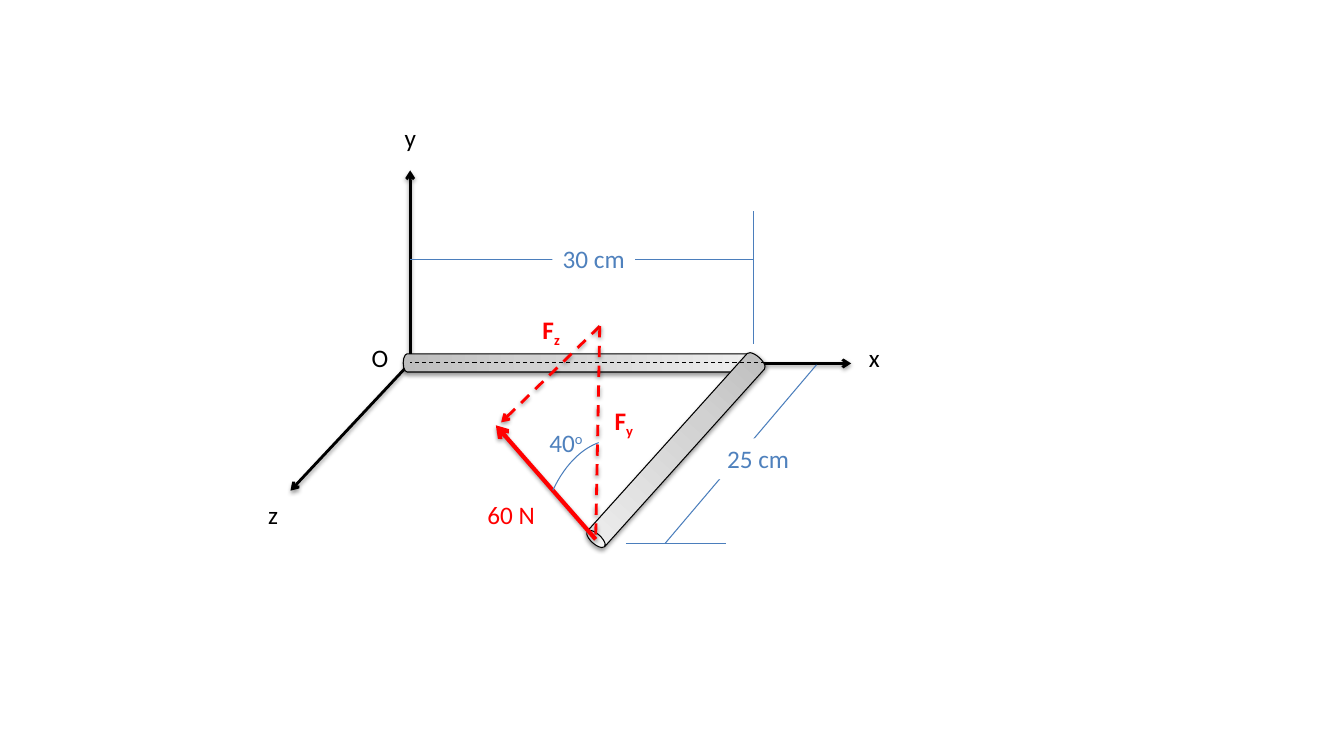
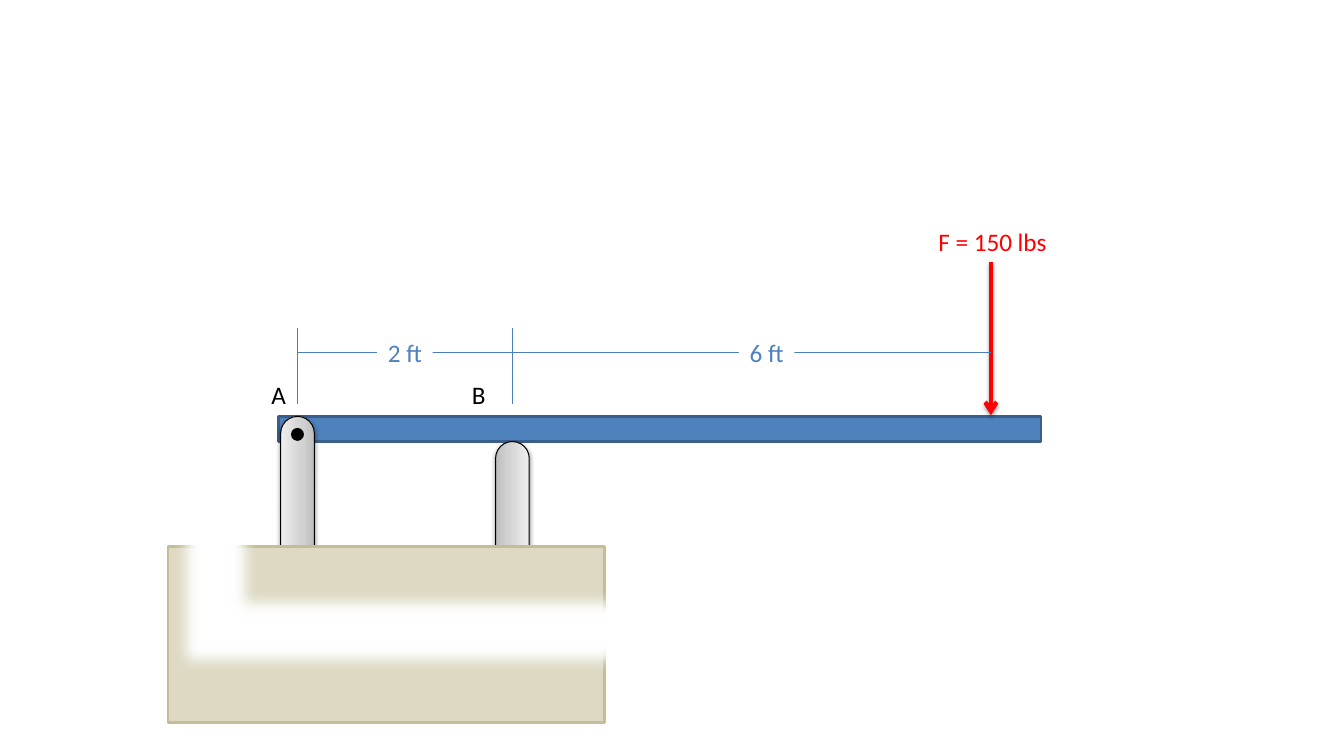
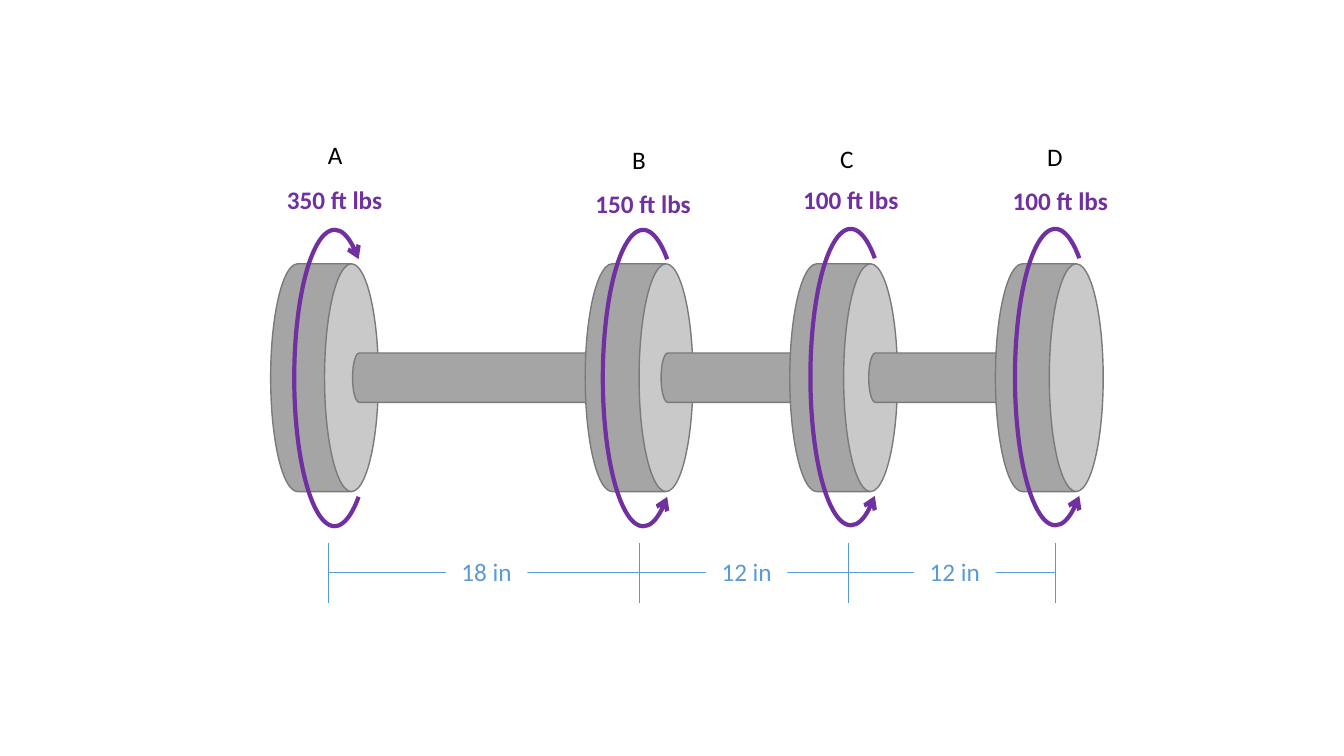
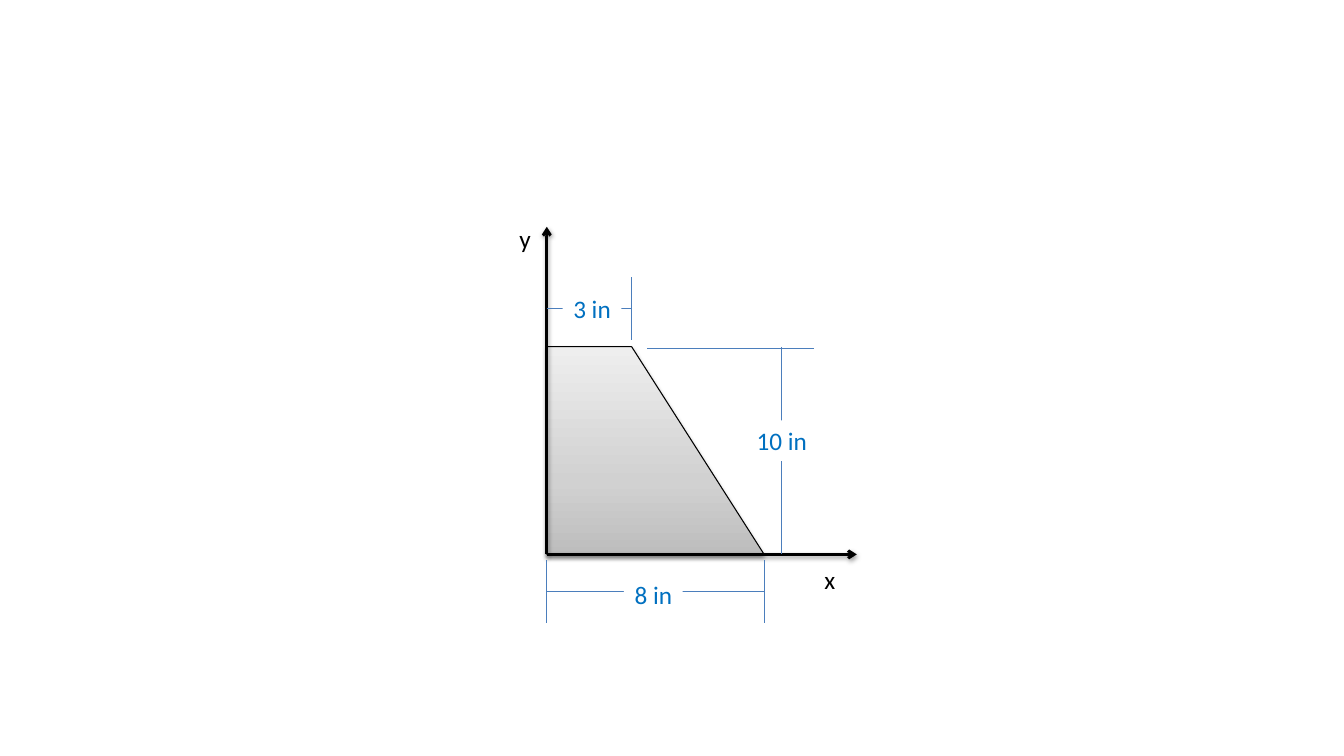
from dataclasses import dataclass
from itertools import pairwise
from lxml.etree import SubElement
from math import atan2, degrees, hypot
from pptx import Presentation
from pptx.dml.color import RGBColor
from pptx.enum.dml import MSO_LINE_DASH_STYLE as Dash
from pptx.enum.shapes import MSO_CONNECTOR as Connector, MSO_SHAPE as Preset
from pptx.enum.text import MSO_AUTO_SIZE as AutoSize, PP_ALIGN as Align
from pptx.oxml.ns import qn
from pptx.util import Pt


@dataclass(frozen=True)
class Theme:
    font: str = "Calibri"
    size: float = 18
    label_height: float = 29
    black: str = "000000"
    white: str = "FFFFFF"
    force: str = "FF0000"
    dimension: str = "4F81BD"
    dimension_line: str = "4B7EBC"
    shaft_dimension: str = "5B9BD5"
    section_dimension: str = "0070C0"
    beam_edge: str = "3A5F8C"
    ground: str = "DDD9C3"
    ground_edge: str = "C4BD97"
    steel: str = "A5A5A5"
    steel_edge: str = "7A7A7A"
    torque: str = "7030A0"
    metal: tuple = ((0, "BDBDBD"), (35, "D1D1D1"), (100, "EEEEEE"))
    hairline: float = 0.5
    thin: float = 0.75
    fine: float = 1
    medium: float = 2
    thick: float = 3


THEME = Theme()


@dataclass(frozen=True)
class Box:
    left: float
    top: float


@dataclass(frozen=True)
class Station:
    """One disc of the shaft, with its torque and its letter."""
    name: str
    torque: str
    disc_x: float
    arc_x: float
    arc_top: float
    tick_x: float
    name_center: tuple
    torque_center: tuple


def rgb(value):
    return RGBColor.from_string(value)


def middle(start, end):
    return (start[0] + end[0]) / 2, (start[1] + end[1]) / 2


def set_effect(shape, shadow=False, soft_edge=0):
    """Close the shape properties with an effect list, empty by default."""
    effects = SubElement(shape._element.spPr, qn("a:effectLst"))
    if shadow:
        outer = SubElement(effects, qn("a:outerShdw"), blurRad=str(Pt(3.1)),
                           dist=str(Pt(1.6)), dir="5400000", rotWithShape="0")
        color = SubElement(outer, qn("a:srgbClr"), val=THEME.black)
        SubElement(color, qn("a:alpha"), val="38000")
    if soft_edge:
        SubElement(effects, qn("a:softEdge"), rad=str(Pt(soft_edge)))


def set_line(shape, color, width, dashed=False, arrow=False):
    shape.line.color.rgb = rgb(color)
    shape.line.width = Pt(width)
    if dashed:
        shape.line.dash_style = Dash.DASH
    if arrow:
        outline = shape._element.spPr.find(qn("a:ln"))
        SubElement(outline, qn("a:tailEnd"), type="arrow")


def set_solid(shape, color):
    shape.fill.solid()
    shape.fill.fore_color.rgb = rgb(color)


def set_metal(shape):
    """Grey gradient, dark at the foot of the shape, with a black outline."""
    shape.fill.gradient()
    shape.fill.gradient_angle = 90
    stops = shape._element.spPr.find(qn("a:gradFill")).find(qn("a:gsLst"))
    for stop in list(stops):
        stops.remove(stop)
    for position, color in THEME.metal:
        stop = SubElement(stops, qn("a:gs"), pos=str(position * 1000))
        SubElement(stop, qn("a:srgbClr"), val=color)
    set_line(shape, THEME.black, THEME.thin)
    set_effect(shape, shadow=True)


class Diagram:
    """Draws on a page in points, measured from the corner of a box."""

    def __init__(self, page, box):
        self.shapes = page.shapes
        self.box = box

    def place(self, x, y):
        return Pt(self.box.left + x), Pt(self.box.top + y)

    # Lines
    def line(self, start, end, color=THEME.dimension_line, width=THEME.thin,
             dashed=False, arrow=False, shadow=False):
        link = self.shapes.add_connector(
            Connector.STRAIGHT, *self.place(*start), *self.place(*end))
        set_line(link, color, width, dashed, arrow)
        set_effect(link, shadow)

    def axis(self, start, end):
        self.line(start, end, THEME.black, THEME.medium, arrow=True, shadow=True)

    def force(self, start, end, width=THEME.thick, dashed=False, arrow=True):
        self.line(start, end, THEME.force, width, dashed, arrow, shadow=True)

    def dimension(self, start, end, text, width, shift=(0, 0),
                  color=THEME.dimension, line_color=THEME.dimension_line,
                  line_width=THEME.thin):
        """Line with its length on white, at the middle plus a shift."""
        self.line(start, end, line_color, line_width)
        x, y = middle(start, end)
        self.label(text, (x + shift[0], y + shift[1]), width, color,
                   fill=THEME.white)

    # Shapes, each placed by its centre
    def preset(self, kind, center, width, height, adjust=()):
        x, y = center
        shape = self.shapes.add_shape(
            kind, *self.place(x - width / 2, y - height / 2),
            Pt(width), Pt(height))
        for index, value in enumerate(adjust):
            shape.adjustments[index] = value
        return shape

    def solid(self, kind, center, width, height, fill, edge,
              edge_width=THEME.medium, adjust=(), soft_edge=0):
        shape = self.preset(kind, center, width, height, adjust)
        set_solid(shape, fill)
        set_line(shape, edge, edge_width)
        set_effect(shape, soft_edge=soft_edge)
        return shape

    def rod(self, start, end, thickness):
        """Round metal rod whose open face lies at the end point."""
        run, rise = end[0] - start[0], start[1] - end[1]
        can = self.preset(Preset.CAN, middle(start, end), thickness,
                          hypot(run, rise), [0.43])
        can.rotation = degrees(atan2(run, rise)) % 360
        set_metal(can)

    def arc(self, center, width, height, angles, color, line_width,
            arrow=False, flip=False):
        curve = self.preset(Preset.ARC, center, width, height, angles)
        curve.fill.background()
        set_line(curve, color, line_width, arrow=arrow)
        set_effect(curve)
        if flip:
            curve._element.spPr.find(qn("a:xfrm")).set("flipV", "1")

    # Text
    def label(self, text, center, width, color=THEME.black, bold=False,
              script="", baseline=0, fill=None):
        x, y = center
        height = THEME.label_height
        box = self.shapes.add_textbox(
            *self.place(x - width / 2, y - height / 2), Pt(width), Pt(height))
        if fill:
            set_solid(box, fill)
        frame = box.text_frame
        frame.word_wrap = False
        frame.auto_size = AutoSize.SHAPE_TO_FIT_TEXT
        para = frame.paragraphs[0]
        para.alignment = Align.CENTER
        parts = [(text, 0), (script, baseline)] if script else [(text, 0)]
        for part, shift in parts:
            span = para.add_run()
            span.text = part
            span.font.name = THEME.font
            span.font.size = Pt(THEME.size)
            span.font.bold = bold
            span.font.color.rgb = rgb(color)
            if shift:
                span.font._element.set("baseline", str(shift * 1000))


def draw_bent_bar(page, box):
    art = Diagram(page, box)
    origin_x, elbow_x, bar_y = 113, 358.2, 179.2
    load_point, load_head = (245.5, 305.2), (174.2, 223.8)
    corner = (248.4, 153)  # where the two force components meet

    # Axes
    art.axis((353, 179.6), (428, 179.6))
    art.axis((origin_x, bar_y), (27.5, 270.5))
    art.axis((origin_x, bar_y), (origin_x, 41.7))
    for name, center in (("x", (444.5, 175.5)), ("z", (15.1, 287.3)),
                         ("y", (113, 18)), ("O", (90.3, 175.5))):
        art.label(name, center, 24)

    # Two arms and the centre line
    art.rod((108, bar_y), (elbow_x, bar_y), 13)
    art.rod((362.3, 175.4), (243.3, 307.6), 16.6)
    art.line((387.4, bar_y), (origin_x, bar_y), THEME.black, dashed=True)

    # Length of the first arm
    art.line((elbow_x, 165.5), (elbow_x, 70.5))
    art.dimension((origin_x, 105.3), (elbow_x, 105.3), "30 cm", 59, (8.5, -0.5))

    # Force and its components
    art.force(corner, (178, 221.7), THEME.medium, dashed=True)
    art.force(corner, load_point, THEME.medium, dashed=True, arrow=False)
    art.force(load_point, load_head)
    art.label("60 N", (185.1, 287.3), 49, THEME.force)
    for script, center in (("z", (213.7, 155.5)), ("y", (265.6, 220.3))):
        art.label("F", center, 30, THEME.force, bold=True, script=script,
                  baseline=-25)

    # Angle of the force
    art.arc((260.3, 323.9), 113, 180, (137.86, 157.08),
            THEME.dimension_line, THEME.thin)
    art.label("40", (224.3, 236.2), 39.6, THEME.dimension, script="o",
              baseline=30)

    # Length of the second arm
    art.line((267, 308.4), (338.4, 308.4))
    art.dimension((295.2, 308), (403.2, 180.6), "25 cm", 59, (12.3, 3.4))


def draw_board(page, box):
    art = Diagram(page, box)
    pin_x, roller_x, load_x = 92.5, 246, 587.8
    beam_left, beam_top, beam_length, beam_depth = 78.7, 297.4, 545, 18
    post_width, dimension_y = 24, 252

    # Board
    art.solid(Preset.RECTANGLE,
              (beam_left + beam_length / 2, beam_top + beam_depth / 2),
              beam_length, beam_depth, THEME.dimension, THEME.beam_edge)

    # Posts lie on their side and are turned upright
    for x, top, height, turn in (
            (pin_x, beam_top, 195, 270),
            (roller_x, beam_top + beam_depth, 172, 90)):
        post = art.preset(Preset.ROUNDED_RECTANGLE, (x, top + height / 2),
                          height, post_width, [0.5])
        post.rotation = turn
        set_metal(post)
    art.solid(Preset.OVAL, (pin_x, 310.3), 7.2, 7.2, THEME.black, THEME.black)

    # Ground, faded by a soft white frame
    art.solid(Preset.RECTANGLE, (155.9, 453.2), 311.8, 126,
              THEME.ground, THEME.ground_edge)
    art.solid(Preset.FRAME, (357, 242.7), 702, 473.8,
              THEME.white, THEME.white, adjust=[0.12], soft_edge=10)

    # Load
    art.force((load_x, 187.2), (load_x, beam_top - 0.8))
    art.label("F = 150 lbs", (588.9, 172.4), 93, THEME.force)

    # Supports and distances
    for name, center_x, tick_x in (("A", 79, pin_x), ("B", 222, roller_x)):
        art.label(name, (center_x, 282), 25)
        art.line((tick_x, 234.5), (tick_x, 288.5))
    for text, start_x, end_x, shift in (("2 ft", pin_x, roller_x, 0),
                                        ("6 ft", roller_x, load_x, 10.7)):
        art.dimension((start_x, dimension_y), (end_x, dimension_y),
                      text, 39.6, (shift, 0))


def draw_shaft(page, box):
    art = Diagram(page, box)
    axis_y, dimension_y = 174.8, 314
    disc_diameter, disc_depth = 162.7, 77
    shaft_diameter, shaft_inset = 35.3, 12.8
    stations = (
        Station("A", "350 ft lbs", 37.8, 45, 69.2, 40.7, (45.4, 15.7), (45, 47.7)),
        Station("B", "150 ft lbs", 262.5, 265.4, 69.2, 262.5,
                (262.5, 18.9), (265.4, 50.5)),
        Station("C", "100 ft lbs", 408.6, 413.7, 68.5, 412.2,
                (410.9, 18.1), (413.7, 47.7)),
        Station("D", "100 ft lbs", 555.5, 559.8, 68.5, 559.8,
                (559.4, 17), (563.4, 48.4)),
    )

    def cylinder(center_x, diameter, length, adjust):
        can = art.solid(Preset.CAN, (center_x, axis_y), diameter, length,
                        THEME.steel, THEME.steel_edge, THEME.fine, [adjust])
        can.rotation = 90

    def disc(station):
        cylinder(station.disc_x, disc_diameter, disc_depth, 0.5)

    # Each shaft piece leaves one disc and runs behind the next
    disc(stations[0])
    for station, following in pairwise(stations):
        start, end = station.arc_x + shaft_inset, following.disc_x
        cylinder((start + end) / 2, shaft_diameter, end - start, 0.27)
        disc(following)

    # Torques and letters; only A turns the other way
    arc_width, arc_height = 57.6, 211.7
    for station in stations:
        art.arc((station.arc_x, station.arc_top + arc_height / 2),
                arc_width, arc_height, (47.12, 168.87), THEME.torque,
                THEME.thick, arrow=True, flip=station.name != "A")
        art.label(station.torque, station.torque_center, 83.5,
                  THEME.torque, bold=True)
        art.label(station.name, station.name_center, 25)

    # Distances between discs
    for station in stations:
        art.line((station.tick_x, 293), (station.tick_x, 335.5),
                 THEME.shaft_dimension, THEME.hairline)
    for (station, following), text in zip(pairwise(stations),
                                          ("18 in", "12 in", "12 in")):
        art.dimension((station.tick_x, dimension_y),
                      (following.tick_x, dimension_y), text, 58.3, (2, -0.5),
                      THEME.shaft_dimension, THEME.shaft_dimension,
                      THEME.hairline)


def draw_section(page, box):
    art = Diagram(page, box)
    left, corner, right = 30.6, 91.2, 185.8
    top, bottom = 92.7, 241
    width_y, top_width_y, height_x = 267.6, 65.3, 198

    # Trapezoid
    builder = art.shapes.build_freeform(*art.place(left, bottom))
    builder.add_line_segments([art.place(left, top), art.place(corner, top),
                               art.place(right, bottom)], close=True)
    set_metal(builder.convert_to_shape())

    # Axes
    art.axis((left, bottom), (left, 7))
    art.axis((left, bottom), (252, bottom))
    art.label("x", (232.8, 259.1), 22)
    art.label("y", (15.1, 15.7), 23)

    # Extension lines
    for x in (left, right):
        art.line((x, 290), (x, 245.3))
    art.line((corner, 87.6), (corner, 43))
    art.line((102.2, top + 0.9), (221.8, top + 0.9))

    # Lengths
    for start, end, text, width, shift in (
            ((left, top_width_y), (corner, top_width_y), "3 in", 42, (2, 0)),
            ((left, width_y), (right, width_y), "8 in", 42, (-1.5, 2.3)),
            ((height_x, top), (height_x, bottom), "10 in", 51, (0.5, -7.1))):
        art.dimension(start, end, text, width, shift, THEME.section_dimension)


def main():
    deck = Presentation()
    deck.slide_width, deck.slide_height = Pt(960), Pt(540)
    blank = deck.slide_layouts[6]
    for draw, box in ((draw_bent_bar, Box(180, 80)), (draw_board, Box(120, 0)),
                      (draw_shaft, Box(194, 95)), (draw_section, Box(360, 155))):
        draw(deck.slides.add_slide(blank), box)
    deck.save("out.pptx")


if __name__ == "__main__":
    main()
